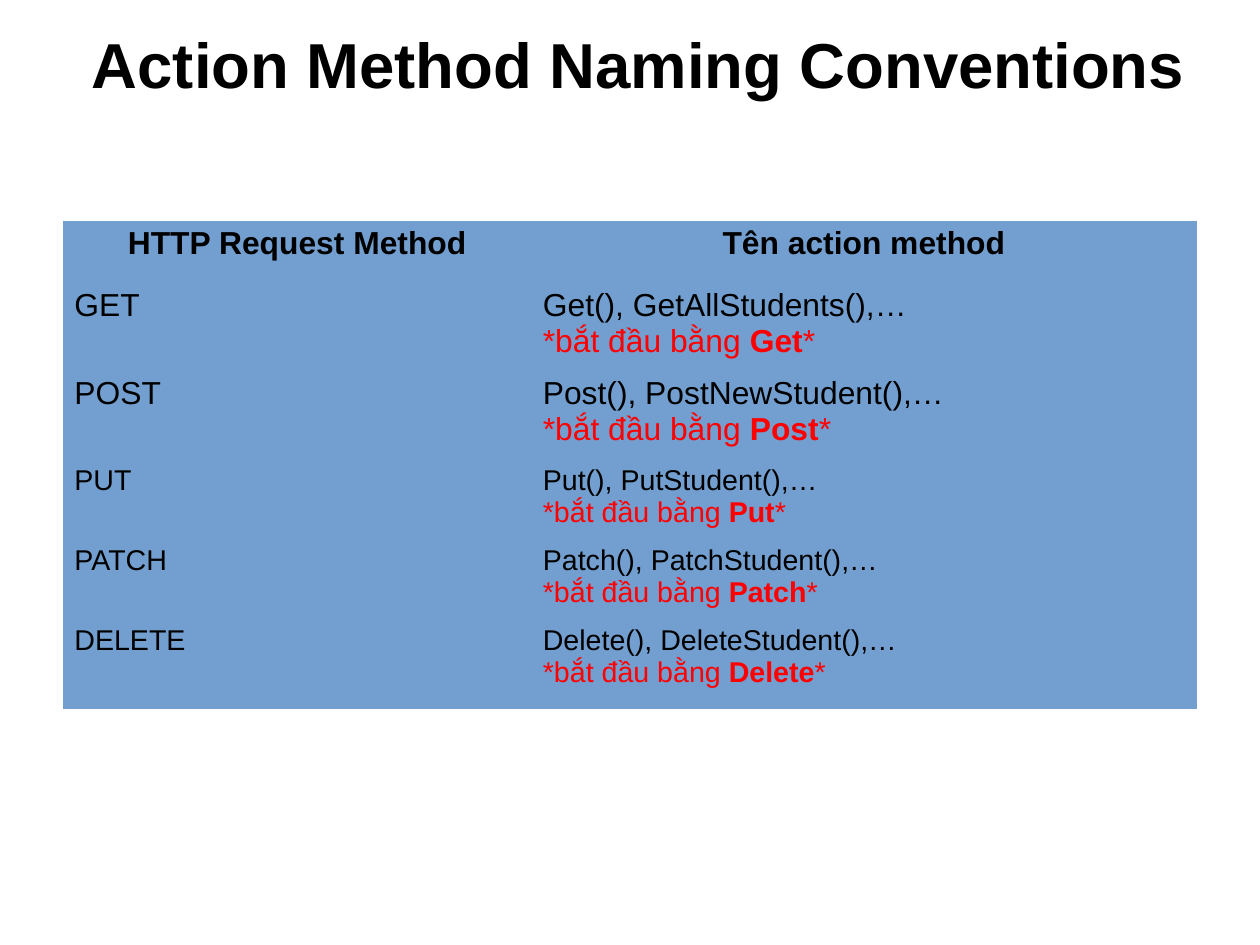
from pptx import Presentation
from pptx.dml.color import RGBColor
from pptx.enum.text import MSO_ANCHOR as Anchor, PP_ALIGN as Align
from pptx.oxml.ns import qn
from pptx.util import Cm, Pt

BLACK = "000000"
RED = "FF0000"
CELL_BLUE = "729FCF"
PLAIN_TABLE_STYLE = "{2D5ABB26-0587-4C30-8999-92F81FD0307C}"

HEADERS = ["HTTP Request Method", "Tên action method"]
COLUMN_WIDTHS = [10.41, 14.78]
HEADER_HEIGHT = 1.37
METHODS = [
    ("Get", "GetAllStudents", 20, 1.96),
    ("Post", "PostNewStudent", 20, 1.96),
    ("Put", "PutStudent", 18, 1.78),
    ("Patch", "PatchStudent", 18, 1.78),
    ("Delete", "DeleteStudent", 18, 2.01),
]


def color(value):
    return RGBColor.from_string(value)


class SlideBuilder:
    font_name = "Arial"

    def __init__(self, slide):
        self.slide = slide

    def add_run(self, paragraph, text, size, fill=BLACK, bold=False):
        run = paragraph.add_run()
        run.text = text
        run.font.name = self.font_name
        run.font.size = Pt(size)
        run.font.bold = bold
        run.font.color.rgb = color(fill)

    def add_title(self, text, left, top, width, height):
        shape = self.slide.shapes.add_textbox(Cm(left), Cm(top), Cm(width), Cm(height))
        frame = shape.text_frame
        frame.word_wrap = True
        frame.vertical_anchor = Anchor.MIDDLE
        frame.margin_left = frame.margin_right = 0
        frame.margin_top = frame.margin_bottom = 0
        paragraph = frame.paragraphs[0]
        paragraph.alignment = Align.CENTER
        paragraph.line_spacing = 0.9
        self.add_run(paragraph, text, 40, bold=True)

    def add_table(self, left, top, widths, heights):
        shape = self.slide.shapes.add_table(
            len(heights), len(widths), Cm(left), Cm(top), Cm(sum(widths)), Cm(sum(heights))
        )
        table = shape.table
        table.first_row = False
        table.horz_banding = False
        table._tbl.tblPr.find(qn("a:tableStyleId")).text = PLAIN_TABLE_STYLE
        for column, width in zip(table.columns, widths):
            column.width = Cm(width)
        for row, height in zip(table.rows, heights):
            row.height = Cm(height)
        for cell in table.iter_cells():
            cell.fill.solid()
            cell.fill.fore_color.rgb = color(CELL_BLUE)
        return table

    def add_header(self, cell, text):
        paragraph = cell.text_frame.paragraphs[0]
        paragraph.alignment = Align.CENTER
        self.add_run(paragraph, text, 20, bold=True)

    def add_method(self, verb_cell, action_cell, prefix, example, size):
        self.add_run(verb_cell.text_frame.paragraphs[0], prefix.upper(), size)
        frame = action_cell.text_frame
        self.add_run(frame.paragraphs[0], f"{prefix}(), {example}(),…", size)
        rule = frame.add_paragraph()
        self.add_run(rule, "*bắt đầu bằng ", size, RED)
        self.add_run(rule, prefix, size, RED, bold=True)
        self.add_run(rule, "*", size, RED)


def main():
    presentation = Presentation()
    presentation.slide_width = Cm(28)
    presentation.slide_height = Cm(21)
    slide = presentation.slides.add_slide(presentation.slide_layouts[6])
    builder = SlideBuilder(slide)

    builder.add_title("Action Method Naming Conventions", 0.18, 0.74, 28, 1.55)

    heights = [HEADER_HEIGHT] + [height for *_, height in METHODS]
    table = builder.add_table(1.4, 4.9, COLUMN_WIDTHS, heights)
    for column, header in enumerate(HEADERS):
        builder.add_header(table.cell(0, column), header)
    for row, (prefix, example, size, _) in enumerate(METHODS, start=1):
        builder.add_method(table.cell(row, 0), table.cell(row, 1), prefix, example, size)

    presentation.save("out.pptx")


if __name__ == "__main__":
    main()
